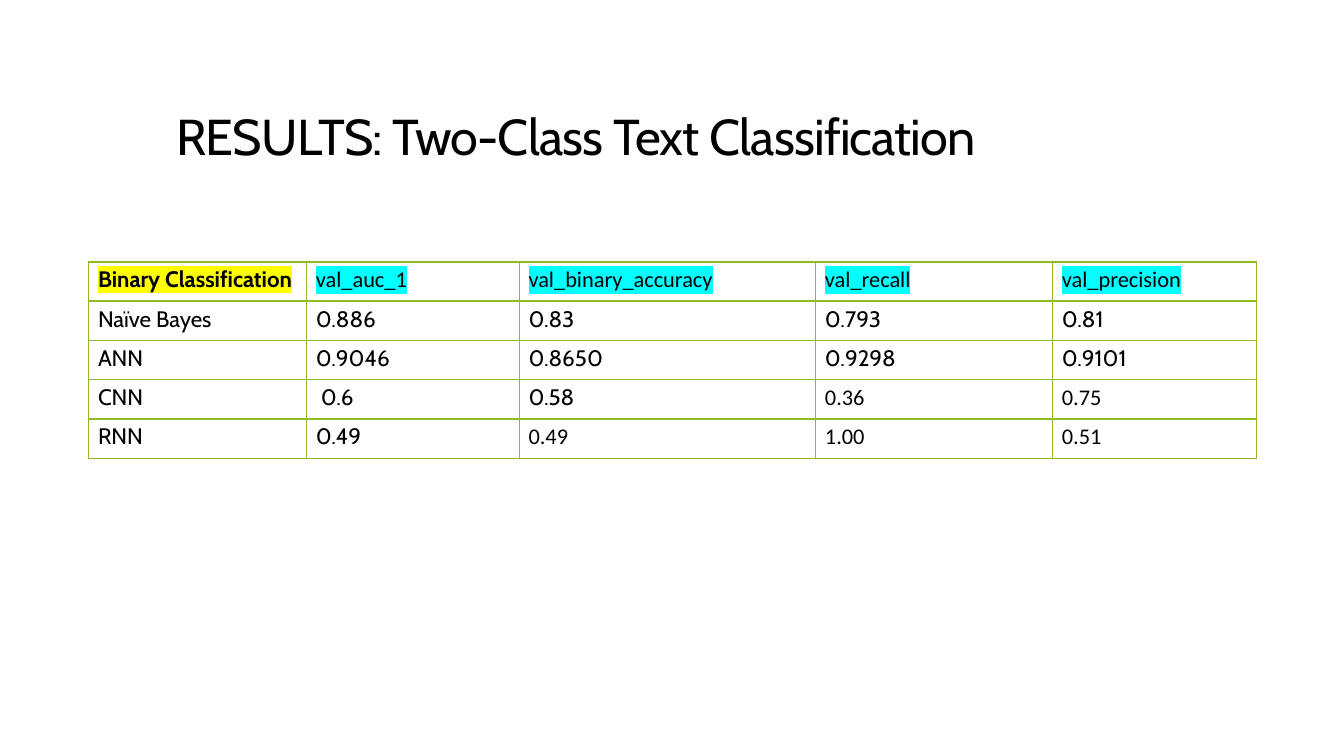
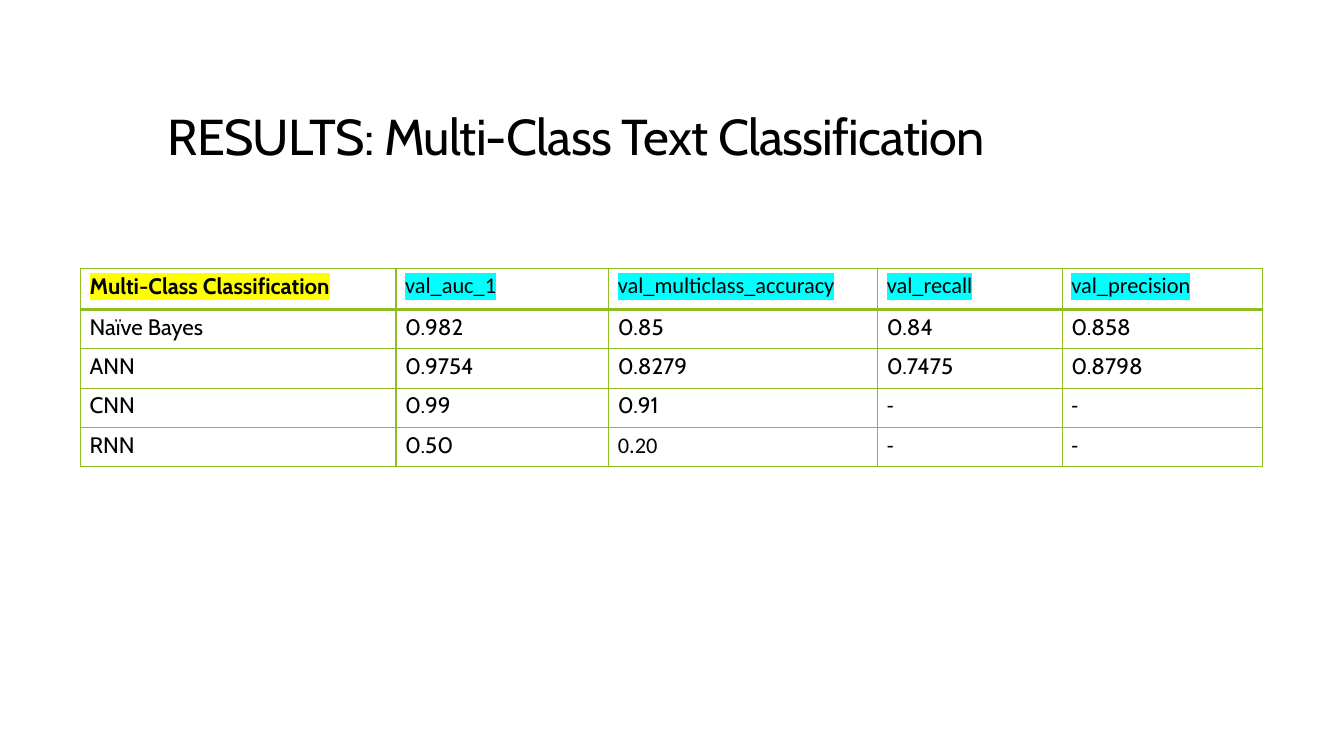
from lxml.etree import SubElement
from pptx import Presentation
from pptx.dml.color import RGBColor
from pptx.enum.text import MSO_ANCHOR, PP_ALIGN
from pptx.oxml.ns import qn
from pptx.util import Cm, Pt

BLACK = RGBColor(0x00, 0x00, 0x00)
GREEN = RGBColor(0x90, 0xBB, 0x23)
YELLOW = RGBColor(0xFF, 0xFF, 0x00)
CYAN = RGBColor(0x00, 0xFF, 0xFF)

HEADING_FONT = "Cabin"
METRIC_FONT = "Calibri"
ROW_HEIGHT = 0.99
FIRST_METRIC_FONT_COLUMN = {"CNN": 3, "RNN": 2}

BINARY_RESULTS = [
    ["Binary Classification", "val_auc_1", "val_binary_accuracy", "val_recall", "val_precision"],
    ["Naïve Bayes", "0.886", "0.83", "0.793", "0.81"],
    ["ANN", "0.9046", "0.8650", "0.9298", "0.9101"],
    ["CNN", " 0.6", "0.58", "0.36", "0.75"],
    ["RNN", "0.49", "0.49", "1.00", "0.51"],
]
MULTICLASS_RESULTS = [
    ["Multi-Class Classification", "val_auc_1", "val_multiclass_accuracy", "val_recall", "val_precision"],
    ["Naïve Bayes", "0.982", "0.85", "0.84", "0.858"],
    ["ANN", "0.9754", "0.8279", "0.7475", "0.8798"],
    ["CNN", "0.99", "0.91", "-", "-"],
    ["RNN", "0.50", "0.20", "-", "-"],
]


def style_text(paragraph, size, font_name, bold=False):
    font = paragraph.font
    font.size = Pt(size)
    font.name = font_name
    font.bold = bold
    font.color.rgb = BLACK


def highlight(run, color):
    marker = SubElement(run._r.get_or_add_rPr(), qn("a:highlight"))
    SubElement(marker, qn("a:srgbClr"), val=str(color))


def set_borders(cell, bottom_width):
    properties = cell._tc.get_or_add_tcPr()
    for side, width in (("L", 1), ("R", 1), ("T", 1), ("B", bottom_width)):
        border = SubElement(properties, qn(f"a:ln{side}"), w=str(Pt(width)))
        fill = SubElement(border, qn("a:solidFill"))
        SubElement(fill, qn("a:srgbClr"), val=str(GREEN))


def add_title(slide, text):
    frame = slide.shapes.add_textbox(Cm(0), Cm(1.68), Cm(29.03), Cm(3.68)).text_frame
    frame.word_wrap = True
    frame.vertical_anchor = MSO_ANCHOR.MIDDLE
    title = frame.paragraphs[0]
    title.alignment = PP_ALIGN.CENTER
    title.line_spacing = 0.9
    style_text(title, 36, HEADING_FONT)
    run = title.add_run()
    run.text = text
    run._r.get_or_add_rPr().set("spc", "-60")


def fill_cell(cell, text, font_name, is_header, is_corner):
    cell.margin_left = cell.margin_right = Cm(0.23)
    cell.margin_top = cell.margin_bottom = Cm(0.11)
    set_borders(cell, 2 if is_header else 1)
    cell.fill.background()
    paragraph = cell.text_frame.paragraphs[0]
    style_text(paragraph, 16, font_name, bold=is_corner)
    run = paragraph.add_run()
    run.text = text
    if is_header:
        highlight(run, YELLOW if is_corner else CYAN)


def add_results_table(slide, results, left, top, column_widths, header_height):
    heights = [header_height] + [ROW_HEIGHT] * (len(results) - 1)
    table = slide.shapes.add_table(
        len(results), len(column_widths), Cm(left), Cm(top),
        Cm(sum(column_widths)), Cm(sum(heights)),
    ).table
    table.first_row = False
    table.horz_banding = False
    for column, width in zip(table.columns, column_widths):
        column.width = Cm(width)
    for row_index, (row, height, values) in enumerate(zip(table.rows, heights, results)):
        row.height = Cm(height)
        is_header = row_index == 0
        metric_start = 1 if is_header else FIRST_METRIC_FONT_COLUMN.get(values[0], len(values))
        for column_index, (cell, text) in enumerate(zip(row.cells, values)):
            font_name = METRIC_FONT if column_index >= metric_start else HEADING_FONT
            fill_cell(cell, text, font_name, is_header, is_header and column_index == 0)


def add_results_slide(presentation, title, *table_settings):
    slide = presentation.slides.add_slide(presentation.slide_layouts[6])
    add_title(slide, title)
    add_results_table(slide, *table_settings)


def main():
    presentation = Presentation()
    presentation.slide_width = Cm(33.87)
    presentation.slide_height = Cm(19.05)
    add_results_slide(
        presentation, "RESULTS: Two-Class Text Classification",
        BINARY_RESULTS, 2.24, 6.6, [5.49, 5.36, 7.47, 5.97, 5.13], ROW_HEIGHT,
    )
    add_results_slide(
        presentation, "RESULTS: Multi-Class Text Classification",
        MULTICLASS_RESULTS, 2.03, 6.76, [7.95, 5.36, 6.78, 4.65, 5.05], 1.04,
    )
    presentation.save("out.pptx")


if __name__ == "__main__":
    main()
